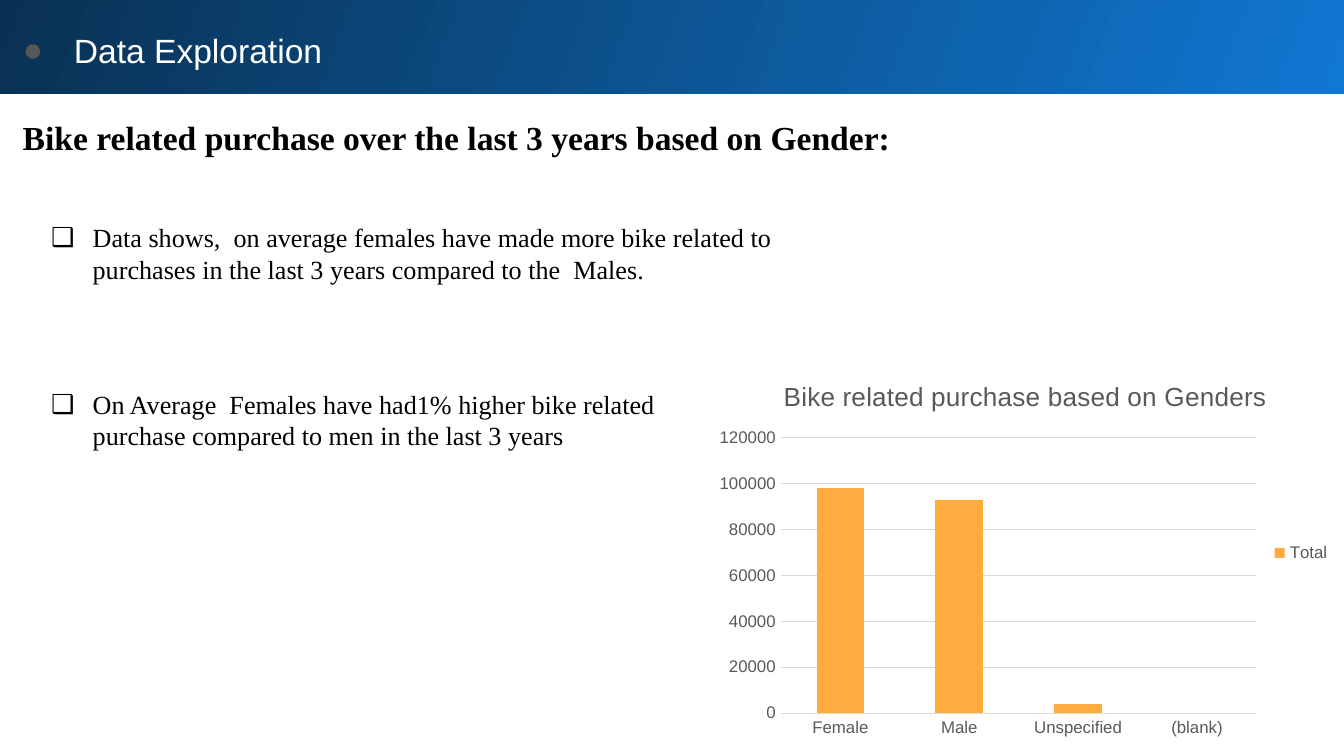
"""Build the Data Exploration slide on bike related purchases by gender."""
import pptx
import pptx.chart.data
import pptx.dml.color
import pptx.enum.chart
import pptx.enum.shapes
import pptx.enum.text
import pptx.oxml
import pptx.oxml.ns
import pptx.util
from pptx.util import Inches

COLORS = {"black": "000000", "white": "FFFFFF", "gray": "595959", "grid": "D9D9D9",
          "bullet": "585858", "bright": "1077D2", "dark": "093153", "bar": "FFAB40"}
SERIF, SANS = "Times New Roman", "Arial"

BANNER = "Data Exploration"
HEADING = "Bike related purchase over the last 3 years based on Gender:"
FINDINGS = [
    ("Data shows,  on average females have made more bike related to  purchases "
     "in the last 3 years compared to the  Males.", (0.33, 1.6, 5.64, 0.57)),
    ("On Average  Females have had1% higher bike related purchase compared to men "
     "in the last 3 years", (0.33, 2.84, 5.05, 0.57)),
]
CHART_TITLE = "Bike related purchase based on Genders"
GENDERS = ["Female", "Male", "Unspecified", "(blank)"]
PURCHASES = ("Total", [98000, 93000, 4000, None])


def rgb(name):
    return pptx.dml.color.RGBColor.from_string(COLORS[name])


def style(font, size, color, face=SANS, bold=False):
    font.size, font.name, font.bold = pptx.util.Pt(size), face, bold
    font.color.rgb = rgb(color)


def write(shape, text, size, color, face, margins, bold=False):
    frame = shape.text_frame
    frame.text = text
    frame.word_wrap = True
    frame.margin_left = frame.margin_right = Inches(margins[0])
    frame.margin_top = frame.margin_bottom = Inches(margins[1])
    paragraph = frame.paragraphs[0]
    paragraph.alignment = pptx.enum.text.PP_ALIGN.LEFT
    style(paragraph.runs[0].font, size, color, face, bold)
    return paragraph


def add_bullet(paragraph, symbol, color, left, hanging):
    properties = paragraph._p.get_or_add_pPr()
    properties.set("marL", str(Inches(left)))
    properties.set("indent", str(-Inches(hanging)))
    namespace = pptx.oxml.ns.nsdecls("a")
    for xml in (f'<a:buClr {namespace}><a:srgbClr val="{COLORS[color]}"/></a:buClr>',
                f'<a:buFont {namespace} typeface="{SANS}"/>',
                f'<a:buChar {namespace} char="{symbol}"/>'):
        properties.append(pptx.oxml.parse_xml(xml))


def add_banner(slide):
    banner = slide.shapes.add_shape(pptx.enum.shapes.MSO_SHAPE.RECTANGLE,
                                    0, 0, Inches(10), Inches(0.7))
    banner.shadow.inherit = False
    banner.line.fill.background()
    banner.fill.gradient()
    banner.fill.gradient_angle = 160
    for stop, position, color in zip(banner.fill.gradient_stops, (0, 1), ("bright", "dark")):
        stop.position, stop.color.rgb = position, rgb(color)
    banner.text_frame.vertical_anchor = pptx.enum.text.MSO_ANCHOR.MIDDLE
    paragraph = write(banner, BANNER, 18, "white", SANS, (0.05, 0.1))
    paragraph.line_spacing = 1.15
    add_bullet(paragraph, "●", "bullet", 0.5, 0.38)


def add_purchase_chart(slide):
    purchase_data = pptx.chart.data.CategoryChartData()
    purchase_data.categories = GENDERS
    purchase_data.add_series(*PURCHASES)
    chart = slide.shapes.add_chart(
        pptx.enum.chart.XL_CHART_TYPE.COLUMN_STACKED,
        *map(Inches, (5.26, 2.68, 4.74, 2.87)), purchase_data).chart
    style(chart.font, 10, "black")

    chart.has_title = True
    chart.chart_title.text_frame.text = CHART_TITLE
    style(chart.chart_title.text_frame.paragraphs[0].runs[0].font, 14, "gray")
    chart.chart_title.include_in_layout = False

    chart.has_legend = True
    chart.legend.position = pptx.enum.chart.XL_LEGEND_POSITION.RIGHT
    chart.legend.include_in_layout = False
    style(chart.legend.font, 9, "gray")

    for axis in (chart.category_axis, chart.value_axis):
        axis.major_tick_mark = axis.minor_tick_mark = pptx.enum.chart.XL_TICK_MARK.NONE
        axis.format.line.fill.background()
        style(axis.tick_labels.font, 9, "gray")
    gridline = chart.value_axis.major_gridlines.format.line
    gridline.color.rgb, gridline.width = rgb("grid"), pptx.util.Pt(0.75)
    chart.value_axis.minimum_scale = 0
    chart.value_axis.maximum_scale = 120000
    chart.value_axis.major_unit = 20000

    plot = chart.plots[0]
    plot.gap_width, plot.overlap, plot.vary_by_categories = 150, 100, False
    columns = plot.series[0].format.fill
    columns.solid()
    columns.fore_color.rgb = rgb("bar")


def main():
    deck = pptx.Presentation()
    deck.slide_width = Inches(10)
    deck.slide_height = deck.slide_width * 9 // 16
    slide = deck.slides.add_slide(deck.slide_layouts[6])

    heading = slide.shapes.add_textbox(*map(Inches, (0.07, 0.77, 9.85, 0.95)))
    write(heading, HEADING, 18, "black", SERIF, (0.1, 0.1), bold=True)
    add_banner(slide)
    add_purchase_chart(slide)
    for text, place in FINDINGS:
        finding = slide.shapes.add_textbox(*map(Inches, place))
        paragraph = write(finding, text, 14, "black", SERIF, (0.05, 0.05))
        add_bullet(paragraph, "❑", "black", 0.31, 0.31)
    deck.save("out.pptx")


if __name__ == "__main__":
    main()
